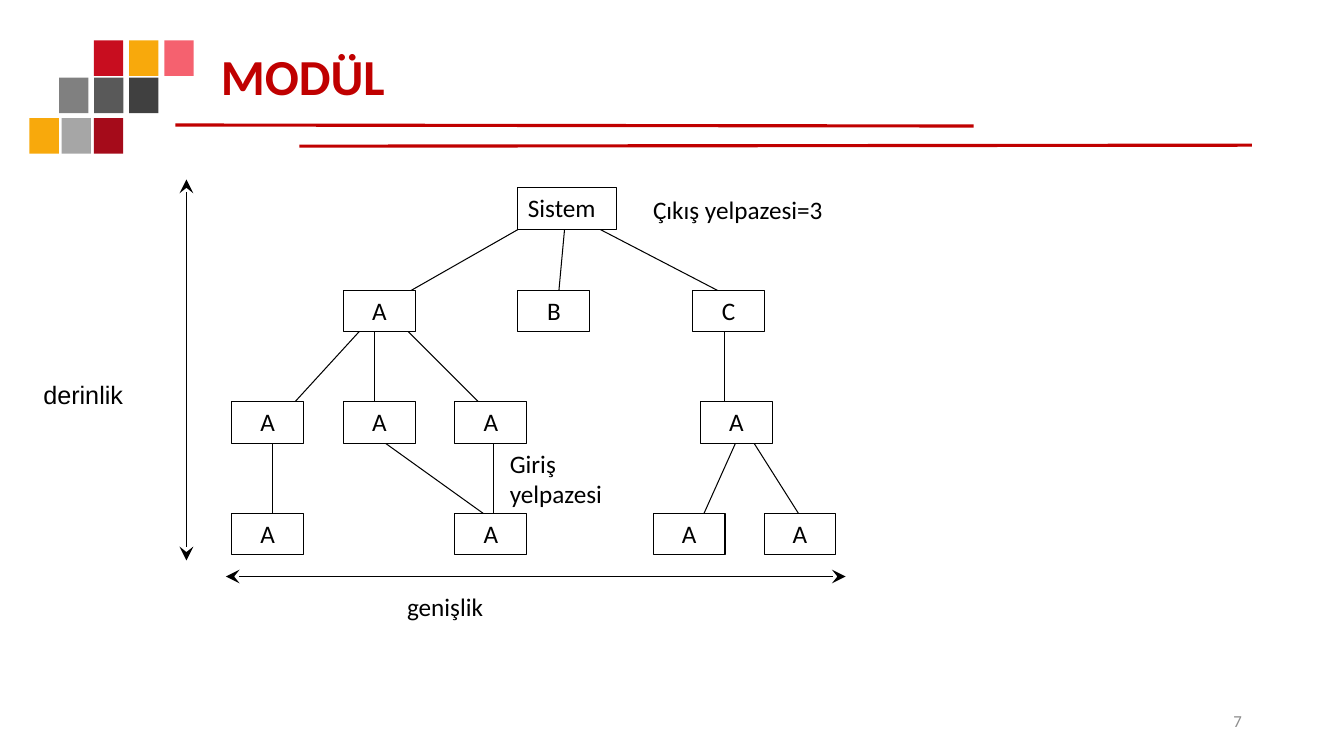
from dataclasses import dataclass
from lxml.etree import SubElement
from pptx import Presentation
from pptx.dml.color import RGBColor
from pptx.enum.shapes import MSO_CONNECTOR as Conn, MSO_SHAPE as Shape
from pptx.enum.text import MSO_ANCHOR as Anchor, MSO_AUTO_SIZE as Auto, PP_ALIGN as Align
from pptx.oxml.ns import qn
from pptx.util import Pt


@dataclass(frozen=True)
class Theme:
    red: str = "C00000"
    ink: str = "000000"
    paper: str = "FFFFFF"
    mute: str = "8C8C8C"
    font: str = "Calibri"
    head: float = 36
    body: float = 18
    foot: float = 12
    thin: float = 0.75
    bold: float = 2.25


T = Theme()

# Content, all lengths in points
TITLE = "MODÜL"
ROOT = ("Sistem", 370)
LEVELS = [  # name and left edge of each module, level by level
    [("A", 245.4), ("B", 370), ("C", 494.8)],
    [("A", 165.6), ("A", 245.4), ("A", 325), ("A", 500.4)],
    [("A", 165.6), ("A", 325), ("A", 466.6), ("A", 545.8)],
]
LINKS = [  # from x, y to x, y; the ends lie behind the boxes
    (392.4, 151.2, 273.6, 218.9),
    (403.9, 157, 398.2, 218.9),
    (415.4, 157, 523.4, 213.1),
    (267.8, 224.6, 205.9, 292.3),
    (267.8, 224.6, 267.8, 298.1),
    (279.4, 224.6, 352.8, 298.1),
    (517.7, 230.4, 517.7, 298.1),
    (528.5, 309.6, 500.4, 372.2),
    (534.2, 309.6, 573.8, 372.2),
    (194.4, 315.4, 194.4, 378),
    (273.6, 315.4, 352.8, 372.2),
    (352.8, 309.6, 352.8, 372.2),
]
LABELS = [  # lines, box, font
    (["Çıkış yelpazesi=3"], (459.4, 135.4, 156.2, 29), T.font),
    (["genişlik"], (283.7, 419, 74.2, 29), T.font),
    (["Giriş", "yelpazesi"], (357.1, 316.8, 89.3, 50.9), T.font),
    (["derinlik"], (23.8, 267.1, 71.3, 29), "Arial"),
]
ARROWS = [(161.3, 411.8, 604.1, 411.8), (133.2, 128.2, 133.2, 400.3)]
RULES = [(125.3, 89.3, 695.5, 90), (213.8, 104.4, 894.2, 103.7)]
TILES = [  # top, left, step, colours
    (28.8, 67, 25.2, ["C80D1F", "F8A90C", "F5616F"]),
    (55.4, 42.2, 25, ["808080", "595959", "404040"]),
    (84.4, 21, 23, ["F8A90C", "A6A6A6", "A50B1A"]),
]
TILE = (21, 25.4)
BOX = (51.3, 29.7)
ROOT_W, ROOT_TOP = 70.7, 134
LEVEL_TOP, LEVEL_STEP = 207.4, 79.6


def color(code):
    return RGBColor.from_string(code)


def write(shape, lines, size=T.body, font=T.font, ink=T.ink, bold=False,
          align=Align.LEFT, anchor=Anchor.TOP, space=1.0):
    frame = shape.text_frame
    frame.word_wrap = True
    frame.auto_size = Auto.NONE
    frame.vertical_anchor = anchor
    for i, line in enumerate(lines):
        para = frame.add_paragraph() if i else frame.paragraphs[0]
        para.alignment, para.line_spacing = align, space
        run = para.add_run()
        run.text = line
        run.font.name, run.font.size, run.font.bold = font, Pt(size), bold
        run.font.color.rgb = color(ink)


def place(shape, *box):
    shape.left, shape.top, shape.width, shape.height = map(Pt, box)


def block(slide, box, fill, edge=None):
    shape = slide.shapes.add_shape(Shape.RECTANGLE, *map(Pt, box))
    shape.shadow.inherit = False
    shape.fill.solid()
    shape.fill.fore_color.rgb = color(fill)
    if edge:
        shape.line.color.rgb = color(edge)
        shape.line.width = Pt(T.thin)
    else:
        shape.line.fill.background()
    return shape


def label(slide, lines, box, **style):
    write(slide.shapes.add_textbox(*map(Pt, box)), lines, **style)


def link(slide, ends, ink=T.ink, width=T.thin, arrow=False):
    line = slide.shapes.add_connector(Conn.STRAIGHT, *map(Pt, ends))
    line.line.color.rgb = color(ink)
    line.line.width = Pt(width)
    if arrow:
        for tag in ("a:headEnd", "a:tailEnd"):
            SubElement(line.line._get_or_add_ln(), qn(tag),
                       type="stealth", w="lg", len="lg")
    SubElement(line._element.spPr, qn("a:effectLst"))


def main():
    deck = Presentation()
    deck.slide_width, deck.slide_height = Pt(960), Pt(540)
    slide = deck.slides.add_slide(deck.slide_layouts[5])

    # Tiles and rules of the header
    for top, left, step, fills in TILES:
        for i, fill in enumerate(fills):
            block(slide, (left + i * step, top, *TILE), fill)
    for ends in RULES:
        link(slide, ends, ink=T.red, width=T.bold)

    # Title and page number
    title = slide.shapes.title
    place(title, 150.5, 28.8, 743, 55.4)
    write(title, [TITLE], size=T.head, ink=T.red, bold=True,
          anchor=Anchor.MIDDLE, space=0.9)
    label(slide, ["7"], (678.2, 500.4, 216, 28.8), size=T.foot, ink=T.mute,
          align=Align.RIGHT, anchor=Anchor.MIDDLE)

    # Module tree: links first, boxes over their ends
    for ends in LINKS:
        link(slide, ends)
    name, left = ROOT
    write(block(slide, (left, ROOT_TOP, ROOT_W, BOX[1]), T.paper, T.ink), [name])
    for i, level in enumerate(LEVELS):
        top = LEVEL_TOP + i * LEVEL_STEP
        for name, left in level:
            box = block(slide, (left, top, *BOX), T.paper, T.ink)
            write(box, [name], align=Align.CENTER)

    # Labels, depth and width arrows
    for lines, box, font in LABELS:
        label(slide, lines, box, font=font)
    for ends in ARROWS:
        link(slide, ends, arrow=True)

    deck.save("out.pptx")


if __name__ == "__main__":
    main()
